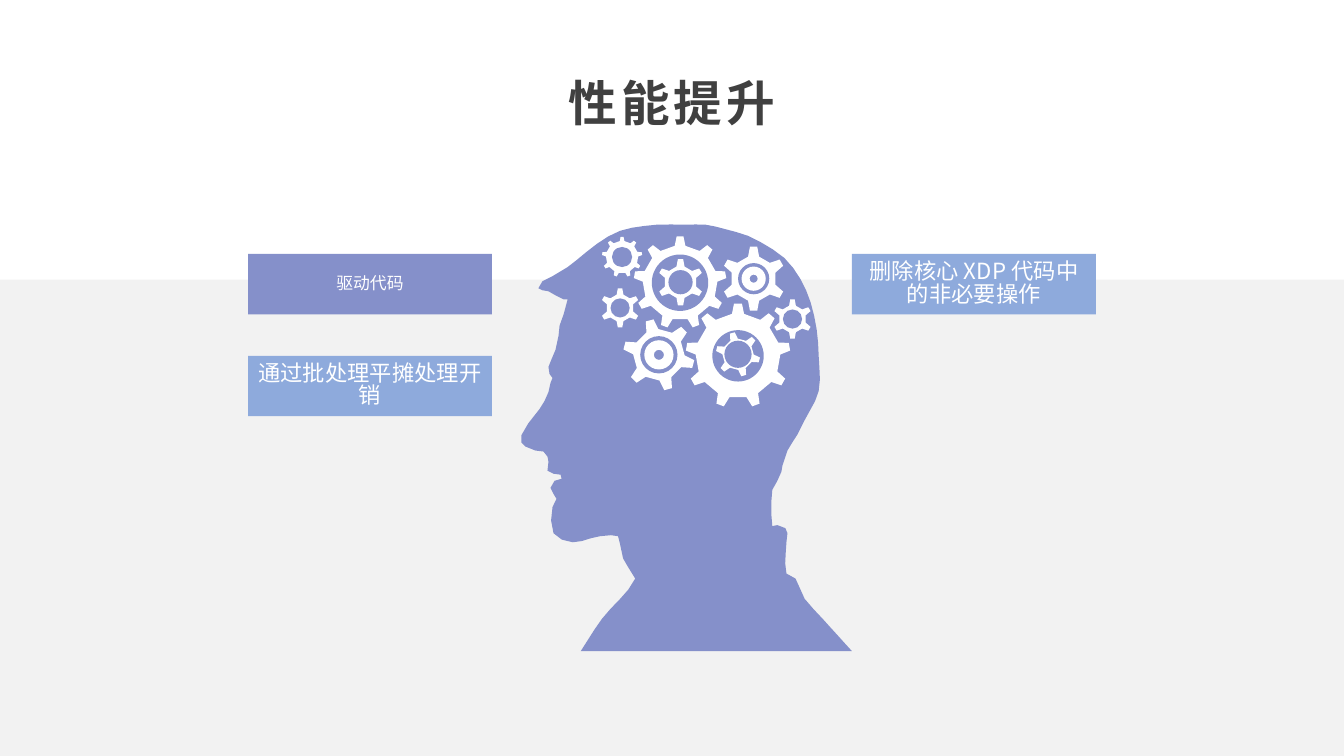
import math
from dataclasses import dataclass

from lxml import etree
from pptx import Presentation
from pptx.dml.color import RGBColor
from pptx.enum.shapes import MSO_SHAPE
from pptx.enum.text import MSO_ANCHOR, PP_ALIGN
from pptx.oxml.ns import qn
from pptx.util import Inches, Pt

RECTANGLE, DONUT, OVAL = MSO_SHAPE.RECTANGLE, MSO_SHAPE.DONUT, MSO_SHAPE.OVAL
MIDDLE, CENTER = MSO_ANCHOR.MIDDLE, PP_ALIGN.CENTER
TITLE_ONLY = 5
WIDTH, HEIGHT = 13.33, 7.5


@dataclass(frozen=True)
class Theme:
    font: str = "Noto Sans CJK SC"
    title: str = "404040"
    band: str = "F2F2F2"
    violet: str = "8590CA"
    blue: str = "8EAADC"
    white: str = "FFFFFF"
    title_size: float = 34.7
    label_size: float = 15.9
    small_size: float = 12


THEME = Theme()

# The head and its gears share a grid 329 units wide, in hundredths of an inch.
HEAD_UNITS = 329
HEAD_OUTLINE = [
    (60, 424), (81, 392), (114, 352), (106, 339), (102, 332), (99, 318), (97, 310),
    (90, 309), (79, 310), (70, 312), (52, 316), (33, 307), (32, 281), (36, 273),
    (33, 268), (30, 262), (34, 255), (41, 253), (40, 249), (33, 248),
    (27, 245), (28, 236), (27, 231), (23, 226), (15, 225), (5, 221),
    (1, 217), (1, 210), (8, 198), (19, 184), (24, 176), (28, 167), (30, 158),
    (32, 153), (29, 149), (28, 142), (35, 125), (38, 111), (39, 101), (43, 90),
    (47, 75), (43, 75), (35, 71), (28, 67), (22, 66), (18, 64), (22, 57), (32, 52),
    (47, 43), (56, 36), (76, 20), (99, 7), (135, 1), (164, 1), (184, 1), (202, 5),
    (226, 12), (238, 18), (262, 34), (278, 55), (288, 78), (294, 105), (296, 131),
    (296, 166), (282, 195), (275, 209), (265, 225), (260, 240), (259, 246),
    (255, 255), (250, 264), (250, 300), (255, 299), (263, 302),
    (265, 307), (264, 316), (264, 347), (273, 352), (278, 363), (282, 372),
    (300, 392), (329, 424),
]
# centre x, centre y, teeth, outer radius, root radius, hole radius, turn in degrees
GEARS = [
    (158.5, 58.5, 9, 46, 37, 28, 0),
    (216, 131, 9, 52, 42, 25.5, 0),
    (231.5, 54.5, 6, 32, 22.5, 15.5, 0),
    (137.5, 130, 6, 35.5, 25.5, 18.5, -15),
    (99, 83.5, 6, 19.5, 13.5, 9.5, 0),
    (270, 94.5, 6, 19.5, 13.5, 9.5, 0),
    (216, 129.5, 6, 22, 15.5, 13.5, -15),
    (159, 58, 6, 23, 16, 12, 0),
    (101, 33, 9, 20, 16, 10, 0),
]
# centre x, centre y, outer radius, hole radius
HUBS = [(137.5, 130, 14.5, 5), (231.5, 54.5, 12, 4)]


def paint(shape, color):
    shape.shadow.inherit = False
    shape.fill.solid()
    shape.fill.fore_color.rgb = RGBColor.from_string(color)
    shape.line.fill.background()


def write(shape, text, size, color, bold=False):
    frame = shape.text_frame
    frame.text = text
    frame.word_wrap = True
    frame.vertical_anchor = MIDDLE
    frame.margin_left = frame.margin_right = Inches(0.08)
    frame.margin_top = frame.margin_bottom = Inches(0.04)
    paragraph = frame.paragraphs[0]
    paragraph.alignment = CENTER
    font = paragraph.runs[0].font
    font.size, font.bold, font.name = Pt(size), bold, THEME.font
    font.color.rgb = RGBColor.from_string(color)
    east_asian = etree.SubElement(paragraph.runs[0]._r.get_or_add_rPr(), qn("a:ea"))
    east_asian.set("typeface", THEME.font)
    return paragraph


def add_rectangle(slide, box, color):
    rectangle = slide.shapes.add_shape(RECTANGLE, *map(Inches, box))
    paint(rectangle, color)
    return rectangle


def smooth(points, spacing=12):
    """Return points along a rounded curve, with more of them on longer stretches."""
    knots = [complex(*point) for point in points]
    knots = [knots[0], *knots, knots[-1]]
    curve = [knots[1]]
    for before, start, end, after in zip(knots, knots[1:], knots[2:], knots[3:]):
        chord = abs(end - start)
        leave = (end - before) / abs(end - before) * chord
        arrive = (after - start) / abs(after - start) * chord
        steps = max(1, round(chord / spacing))
        for step in range(1, steps + 1):
            t = step / steps
            curve.append((2 * t**3 - 3 * t**2 + 1) * start + (t**3 - 2 * t**2 + t) * leave
                         + (3 * t**2 - 2 * t**3) * end + (t**3 - t**2) * arrive)
    return [(point.real, point.imag) for point in curve]


def gear_rim(x, y, teeth, outer, root, turn):
    tip = 0.67 / teeth
    base = 1.05 / teeth * outer / root
    rim = []
    for tooth in range(teeth):
        middle = math.radians(turn) + tooth * math.tau / teeth
        for radius, offset in ((root, -base), (outer, -tip), (outer, tip), (root, base)):
            angle = middle + offset
            rim.append((x + radius * math.sin(angle), y - radius * math.cos(angle)))
    return rim


def add_outline(slide, box, points, color):
    left, top, width, _ = box
    unit = width / HEAD_UNITS
    # Vertices are whole numbers, so they are counted in thousandths of an inch.
    placed = [((left + x * unit) * 1000, (top + y * unit) * 1000) for x, y in points]
    builder = slide.shapes.build_freeform(*placed[0], scale=Inches(1) / 1000)
    builder.add_line_segments(placed[1:], close=True)
    paint(builder.convert_to_shape(), color)


def add_round(slide, box, kind, x, y, radius, color):
    left, top, width, _ = box
    unit = width / HEAD_UNITS
    size = Inches(2 * radius * unit)
    disc = slide.shapes.add_shape(kind, Inches(left + (x - radius) * unit),
                                  Inches(top + (y - radius) * unit), size, size)
    paint(disc, color)
    return disc


def add_head(slide, box):
    add_outline(slide, box, smooth(HEAD_OUTLINE), THEME.violet)
    for x, y, teeth, outer, root, hole, turn in GEARS:
        add_outline(slide, box, gear_rim(x, y, teeth, outer, root, turn), THEME.white)
        add_round(slide, box, OVAL, x, y, hole, THEME.violet)
    for x, y, outer, hole in HUBS:
        hub = add_round(slide, box, DONUT, x, y, outer, THEME.white)
        hub.adjustments[0] = (outer - hole) / (2 * outer)


def add_title(slide, box):
    title = slide.shapes.title
    title.left, title.top, title.width, title.height = map(Inches, box)
    paragraph = write(title, "性能提升", THEME.title_size, THEME.title, bold=True)
    paragraph.space_after = Pt(8)
    paragraph.runs[0]._r.get_or_add_rPr().set("spc", "300")


def add_labels(slide, box):
    """Place the labels in the left and right columns of the box."""
    left, top, width, height = box
    label_width, label_height = 2.42, 0.6
    columns = left, left + width - label_width
    rows = top, top + height - label_height
    labels = [
        (1, 0, "删除核心 XDP 代码中的非必要操作", THEME.label_size, THEME.blue),
        (0, 0, "驱动代码", THEME.small_size, THEME.violet),
        (0, 1, "通过批处理平摊处理开销", THEME.label_size, THEME.blue),
    ]
    for column, row, text, size, color in labels:
        label = add_rectangle(
            slide, (columns[column], rows[row], label_width, label_height), color)
        write(label, text, size, THEME.white).line_spacing = 0.84


def main():
    deck = Presentation()
    deck.slide_width, deck.slide_height = Inches(WIDTH), Inches(HEIGHT)
    slide = deck.slides.add_slide(deck.slide_layouts[TITLE_ONLY])
    band_top = 0.37 * HEIGHT
    add_rectangle(slide, (0, band_top, WIDTH, HEIGHT - band_top), THEME.band)
    add_title(slide, (0.5, 0.67, WIDTH - 1, 0.69))
    add_head(slide, (5.16, 2.22, 3.29, 4.24))
    add_labels(slide, (2.46, 2.52, 8.41, 1.61))
    deck.save("out.pptx")


if __name__ == "__main__":
    main()
